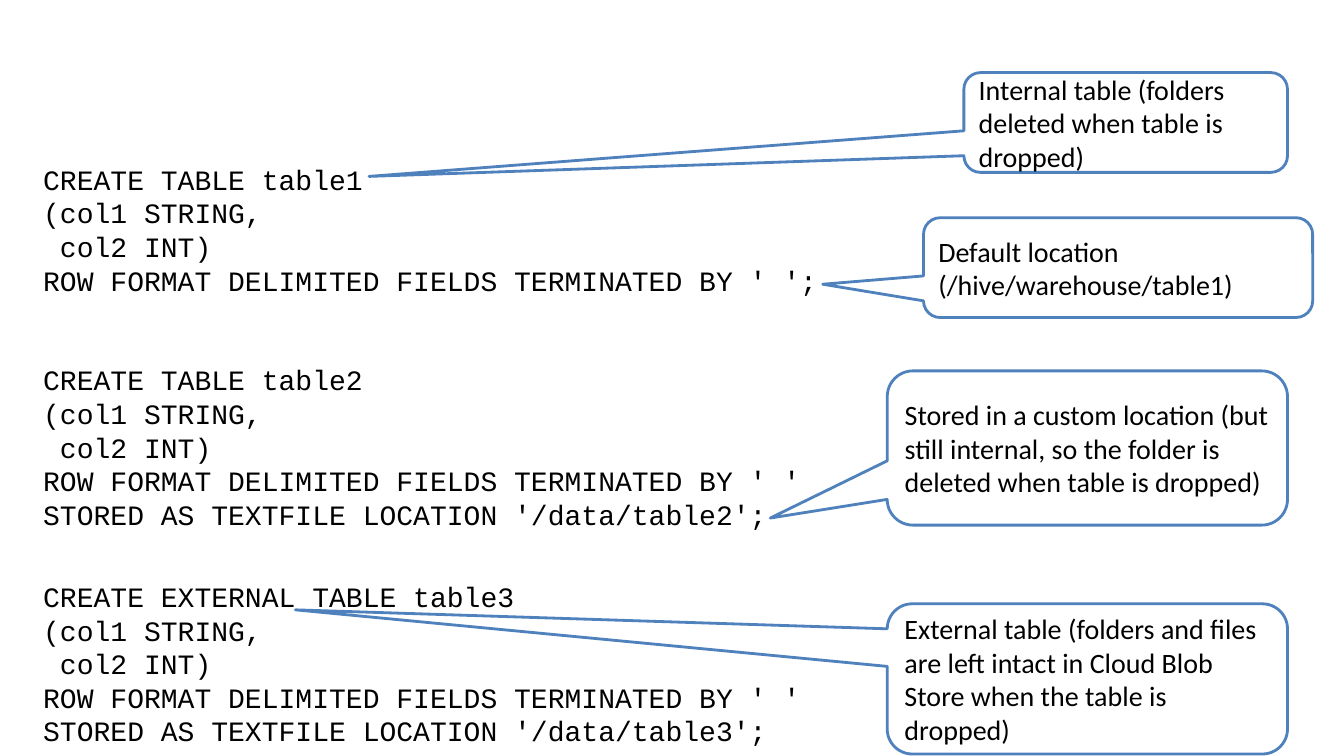
import pptx
import pptx.util
import pptx.dml.color
import pptx.enum.shapes
import pptx.enum.text

Inches = pptx.util.Inches
Pt = pptx.util.Pt
RGBColor = pptx.dml.color.RGBColor

BLACK = RGBColor(0x00, 0x00, 0x00)
WHITE = RGBColor(0xFF, 0xFF, 0xFF)
BLUE = RGBColor(0x4F, 0x81, 0xBD)

COLUMNS = ["(col1 STRING,", " col2 INT)"]
ROW_FORMAT = "ROW FORMAT DELIMITED FIELDS TERMINATED BY ' '"

STATEMENTS = [
    (1.56, 1.45, ["CREATE TABLE table1", *COLUMNS, ROW_FORMAT + ";"]),
    (3.55, 1.78, ["CREATE TABLE table2", *COLUMNS, ROW_FORMAT,
                  "STORED AS TEXTFILE LOCATION '/data/table2';"]),
    (5.7, 1.78, ["CREATE EXTERNAL TABLE table3", *COLUMNS, ROW_FORMAT,
                 "STORED AS TEXTFILE LOCATION '/data/table3';"]),
]

CALLOUTS = [
    ((9.56, 0.72, 3.21, 0.99), (3.66, 1.75),
     "Internal table (folders deleted when table is dropped)"),
    ((9.16, 2.16, 3.86, 0.99), (8.16, 2.82),
     "Default location (/hive/warehouse/table1)"),
    ((8.8, 3.68, 3.97, 1.53), (7.64, 5.14),
     "Stored in a custom location (but still internal, so the folder is "
     "deleted when table is dropped)"),
    ((8.8, 5.99, 3.97, 1.49), (2.93, 6.05),
     "External table (folders and files are left intact in Cloud Blob Store "
     "when the table is dropped)"),
]


def write_lines(frame, lines, font_name):
    frame.word_wrap = True
    for index, line in enumerate(lines):
        para = frame.add_paragraph() if index else frame.paragraphs[0]
        para.alignment = pptx.enum.text.PP_ALIGN.LEFT
        span = para.add_run()
        span.text = line
        span.font.name = font_name
        span.font.size = Pt(20)
        span.font.color.rgb = BLACK


def add_statement(page, top, height, lines):
    box = page.shapes.add_textbox(
        Inches(0.33), Inches(top), Inches(9.23), Inches(height))
    write_lines(box.text_frame, lines, "Courier New")
    box.text_frame.auto_size = pptx.enum.text.MSO_AUTO_SIZE.SHAPE_TO_FIT_TEXT


def add_callout(page, bounds, tip, text):
    left, top, width, height = bounds
    callout = page.shapes.add_shape(
        pptx.enum.shapes.MSO_SHAPE.ROUNDED_RECTANGULAR_CALLOUT,
        *(Inches(length) for length in bounds))
    callout.adjustments[0] = (tip[0] - left) / width - 0.5
    callout.adjustments[1] = (tip[1] - top) / height - 0.5
    callout.shadow.inherit = False
    callout.fill.solid()
    callout.fill.fore_color.rgb = WHITE
    callout.line.color.rgb = BLUE
    callout.line.width = Pt(2)
    callout.text_frame.vertical_anchor = pptx.enum.text.MSO_ANCHOR.MIDDLE
    write_lines(callout.text_frame, [text], "Calibri")


deck = pptx.Presentation()
deck.slide_width = Inches(13.33)
deck.slide_height = Inches(7.5)
page = deck.slides.add_slide(deck.slide_layouts[6])

for statement in STATEMENTS:
    add_statement(page, *statement)
for callout in CALLOUTS:
    add_callout(page, *callout)

deck.save("out.pptx")
